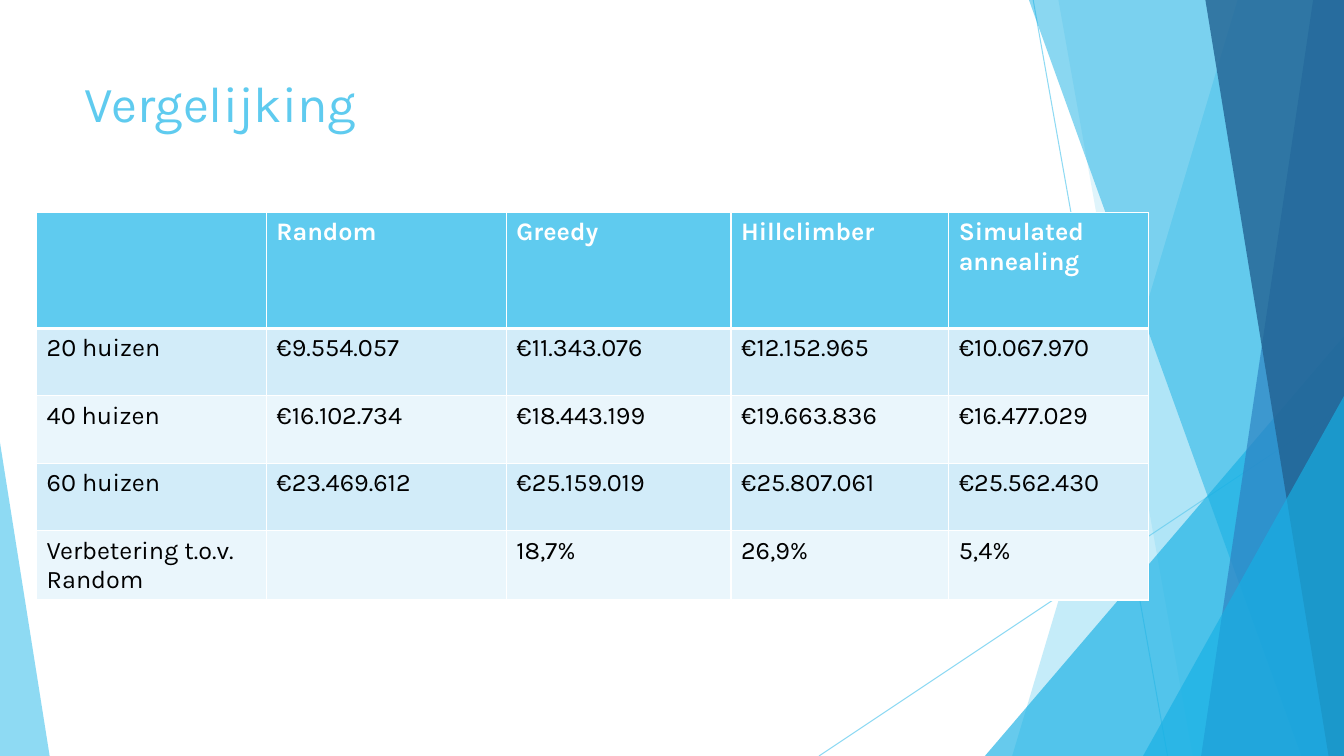
from lxml import etree
from pptx import Presentation
from pptx.dml.color import RGBColor
from pptx.enum import shapes, text
from pptx.oxml import ns
from pptx.util import Pt

SKY = RGBColor(0x5F, 0xCB, 0xEF)
CYAN = RGBColor(0x17, 0xB0, 0xE4)
BLUE = RGBColor(0x2E, 0x83, 0xC3)
NAVY = RGBColor(0x22, 0x62, 0x92)
PALE = RGBColor(0xD2, 0xEC, 0xF9)
PALER = RGBColor(0xEA, 0xF6, 0xFC)
WHITE = RGBColor(0xFF, 0xFF, 0xFF)
BLACK = RGBColor(0, 0, 0)

FONT = "Karla"
WIDTH, HEIGHT = 960, 540

COLUMN_WIDTHS = [164, 171.5, 160.5, 155.5, 143]
ROW_HEIGHTS = [82.8, 48.2, 48.2, 48.2, 48.2]
COMPARISON = [
    ["", "Random", "Greedy", "Hillclimber", "Simulated annealing"],
    ["20 huizen", "€9.554.057", "€11.343.076", "€12.152.965", "€10.067.970"],
    ["40 huizen", "€16.102.734", "€18.443.199", "€19.663.836", "€16.477.029"],
    ["60 huizen", "€23.469.612", "€25.159.019", "€25.807.061", "€25.562.430"],
    ["Verbetering t.o.v. Random", "", "18,7%", "26,9%", "5,4%"],
]


def write(frame, words, size=18, color=BLACK, bold=False):
    paragraph = frame.paragraphs[0]
    paragraph.alignment = text.PP_ALIGN.LEFT
    paragraph.font.size = Pt(size)
    if words:
        run = paragraph.add_run()
        run.text = words
        run.font.name = FONT
        run.font.size = Pt(size)
        run.font.bold = bold
        run.font.color.rgb = color


def set_opacity(shape, percent):
    for color in shape.element.spPr.iter(ns.qn("a:srgbClr")):
        etree.SubElement(color, ns.qn("a:alpha"), val=str(percent * 1000))


def paint(shape, color, opacity):
    shape.shadow.inherit = False
    shape.fill.solid()
    shape.fill.fore_color.rgb = color
    shape.line.fill.background()
    set_opacity(shape, opacity)


def add_hairline(slide, start, end):
    line = slide.shapes.add_connector(
        shapes.MSO_CONNECTOR.STRAIGHT, *map(Pt, start + end))
    line.line.color.rgb = SKY
    line.line.width = Pt(0.75)
    set_opacity(line, 70)
    etree.SubElement(line.element.spPr, ns.qn("a:effectLst"))


def add_band(slide, top_x, bottom_x, color, opacity):
    """Full-height band from a slanted left side to the right slide edge."""
    outline = slide.shapes.build_freeform(Pt(top_x), 0)
    corners = [(WIDTH, 0), (WIDTH, HEIGHT), (bottom_x, HEIGHT)]
    outline.add_line_segments([(Pt(x), Pt(y)) for x, y in corners])
    paint(outline.convert_to_shape(), color, opacity)


def add_corner(slide, left, top, width, apex, color, opacity):
    """Right triangle standing on the bottom slide edge."""
    corner = slide.shapes.add_shape(
        shapes.MSO_SHAPE.ISOSCELES_TRIANGLE,
        Pt(left), Pt(top), Pt(width), Pt(HEIGHT - top))
    corner.adjustments[0] = apex
    paint(corner, color, opacity)


def add_decoration(slide):
    add_hairline(slide, (738, 0), (834, HEIGHT))
    add_hairline(slide, (WIDTH, 290), (585, HEIGHT))
    add_band(slide, 884, 723, SKY, 36)
    add_band(slide, 756, 852, SKY, 20)
    add_corner(slide, 703.5, 240, 256.5, 1, CYAN, 66)
    add_band(slide, 735, 929.5, CYAN, 50)
    add_band(slide, 938, 858, BLUE, 70)
    add_band(slide, 861, 949, NAVY, 80)
    add_corner(slide, 816.5, 283, 143.5, 1, CYAN, 66)
    add_corner(slide, 0, 316, 35.5, 0, SKY, 70)


def add_title(slide, words):
    title = slide.shapes.title
    title.left, title.top, title.width, title.height = map(
        Pt, (53.3, 48, 677, 104))
    title.text_frame.auto_size = text.MSO_AUTO_SIZE.NONE
    title.text_frame.vertical_anchor = text.MSO_ANCHOR.TOP
    write(title.text_frame, words, size=36, color=SKY)


def set_borders(cell, **widths):
    """Draw white borders; the keywords L, R, T and B give widths in points."""
    properties = cell._tc.get_or_add_tcPr()
    for side, width in widths.items():
        border = etree.SubElement(
            properties, ns.qn("a:ln" + side), w=str(Pt(width)))
        fill = etree.SubElement(border, ns.qn("a:solidFill"))
        etree.SubElement(fill, ns.qn("a:srgbClr"), val=str(WHITE))


def add_comparison(slide):
    table = slide.shapes.add_table(
        len(COMPARISON), len(COLUMN_WIDTHS), Pt(26.2), Pt(151.8),
        Pt(sum(COLUMN_WIDTHS)), Pt(sum(ROW_HEIGHTS))).table
    for column, width in zip(table.columns, COLUMN_WIDTHS):
        column.width = Pt(width)
    for index, (row, height) in enumerate(zip(table.rows, ROW_HEIGHTS)):
        row.height = Pt(height)
        header = index == 0
        row_fill = SKY if header else PALE if index % 2 else PALER
        for cell, words in zip(row.cells, COMPARISON[index]):
            set_borders(cell, L=1, R=1, T=3 if index == 1 else 1,
                        B=3 if header else 1)
            cell.fill.solid()
            cell.fill.fore_color.rgb = row_fill
            write(cell.text_frame, words, bold=header,
                  color=WHITE if header else BLACK)


def main():
    deck = Presentation()
    deck.slide_width, deck.slide_height = Pt(WIDTH), Pt(HEIGHT)
    slide = deck.slides.add_slide(deck.slide_layouts.get_by_name("Title Only"))
    add_decoration(slide)
    add_title(slide, "Vergelijking")
    add_comparison(slide)
    deck.save("out.pptx")


if __name__ == "__main__":
    main()
